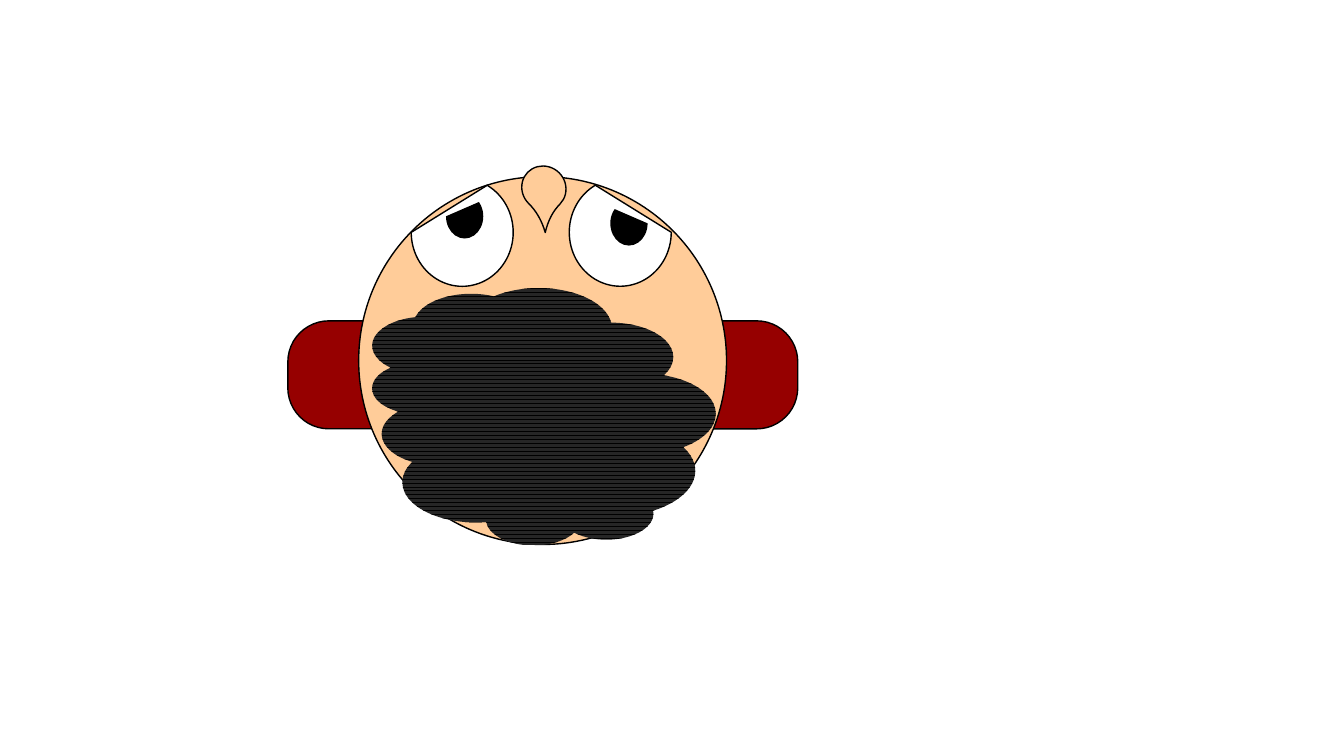
from pptx import Presentation
from pptx.dml.color import RGBColor
from pptx.enum.dml import MSO_PATTERN
from pptx.enum.shapes import MSO_SHAPE
from pptx.util import Cm, Pt

BLACK = RGBColor(0x00, 0x00, 0x00)
CHARCOAL = RGBColor(0x26, 0x26, 0x26)
WHITE = RGBColor(0xFF, 0xFF, 0xFF)
SKIN = RGBColor(0xFF, 0xCC, 0x99)
DARK_RED = RGBColor(0x96, 0x00, 0x00)


def add_part(group, kind, box, color, adjust=(), outlined=True, rotation=270, flip=False):
    """Add one rotated, filled part of the figure; box is in centimetres."""
    s = group.shapes.add_shape(kind, *(Cm(v) for v in box))
    s.shadow.inherit = False
    s.rotation = rotation
    for i, value in enumerate(adjust):
        s.adjustments[i] = value
    s.fill.solid()
    s.fill.fore_color.rgb = color
    if outlined:
        s.line.color.rgb = BLACK
        s.line.width = Pt(1)
    else:
        s.line.fill.background()
    if flip:
        s._element.spPr.xfrm.set("flipV", "1")
    return s


def add_eyes(group):
    """Add both eyeballs and then both pupils, the right ones mirrored."""
    for left, flip in ((10.29, False), (14.27, True)):
        add_part(group, MSO_SHAPE.CHORD, (left, 4.57, 2.72, 2.57), WHITE,
                 adjust=(16.76, 162), flip=flip)
    for left, top, flip in ((11.15, 4.98, False), (15.29, 5.16, True)):
        add_part(group, MSO_SHAPE.CHORD, (left, top, 1.12, 0.94), BLACK,
                 outlined=False, flip=flip)


def add_hair(group):
    """Add the cloud of hair with its wavy pattern."""
    s = add_part(group, MSO_SHAPE.CLOUD, (10.44, 6.17, 6.48, 8.66), CHARCOAL,
                 outlined=False)
    s.fill.patterned()
    s.fill.pattern = MSO_PATTERN.WAVE
    s.fill.fore_color.rgb = BLACK
    s.fill.back_color.rgb = CHARCOAL


def main():
    """Build the slide with the figure seen from above."""
    prs = Presentation()
    prs.slide_width, prs.slide_height = Cm(33.87), Cm(19.05)
    slide = prs.slides.add_slide(prs.slide_layouts[6])
    figure = slide.shapes.add_group_shape()
    add_part(figure, MSO_SHAPE.ROUNDED_RECTANGLE, (12.32, 3.02, 2.72, 12.85),
             DARK_RED, adjust=(0.38,))
    add_part(figure, MSO_SHAPE.OVAL, (9.04, 4.45, 9.27, 9.27), SKIN)
    add_eyes(figure)
    add_hair(figure)
    add_part(figure, MSO_SHAPE.TEAR, (13.16, 4.17, 1.09, 1.14), SKIN,
             adjust=(1.42,), rotation=134.5)
    prs.save("out.pptx")


main()
